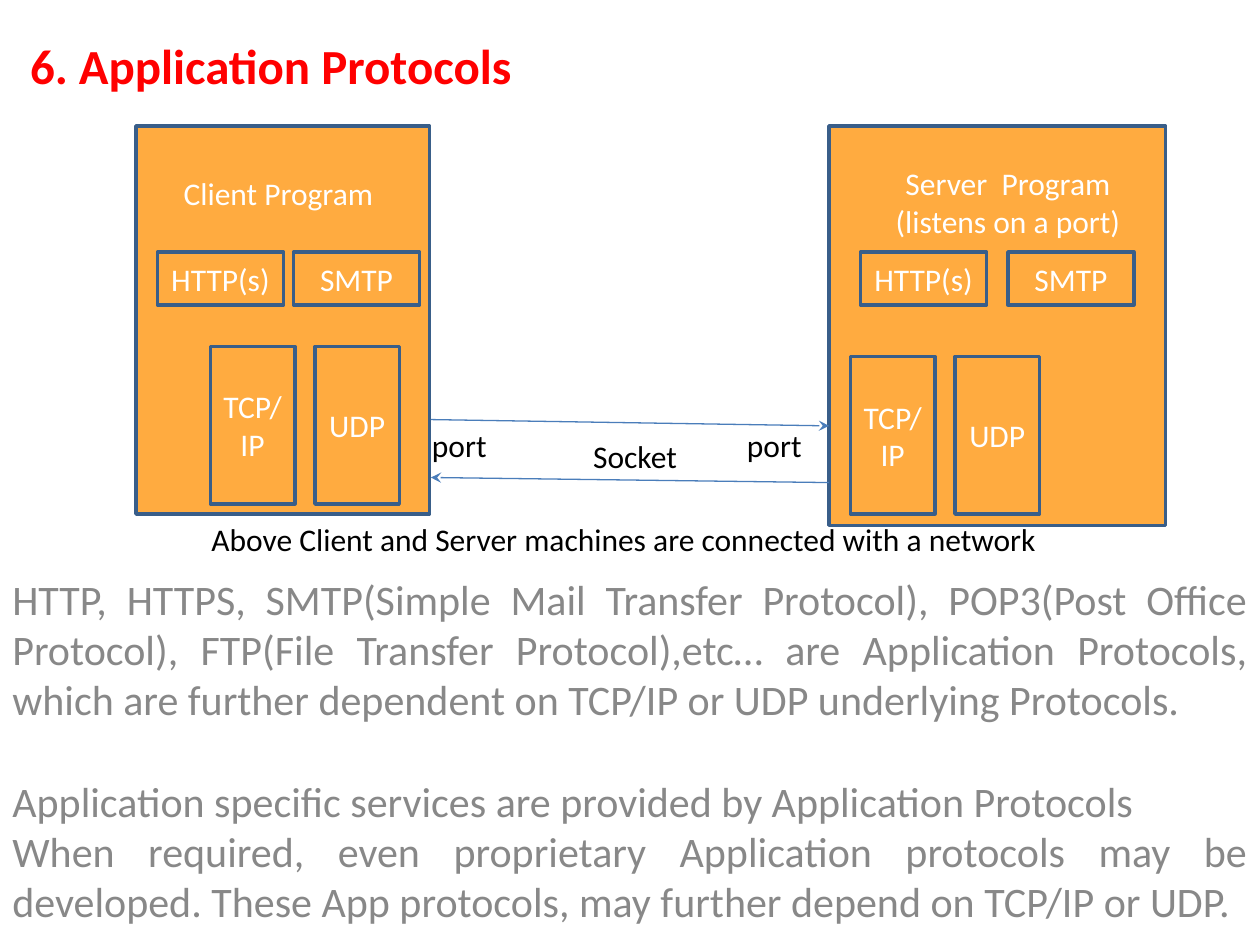
from lxml import etree
from pptx import Presentation
from pptx.dml.color import RGBColor as Rgb
from pptx.enum.shapes import MSO_CONNECTOR as Conn, MSO_SHAPE as Form
from pptx.enum.text import MSO_ANCHOR as Anchor, PP_ALIGN as Align
from pptx.oxml.ns import qn
from pptx.util import Inches, Pt

HUES = {"fill": "FFAB40", "edge": "395E89", "arrow": "4A7DBA", "title": "FF0000",
        "light": "FFFFFF", "dark": "000000", "body": "888888"}


def hue(name):
    return Rgb.from_string(HUES[name])


def write(frame, text, size=18, color="dark", bold=False, align=Align.LEFT,
          anchor=Anchor.TOP):
    """Fill a text frame, one paragraph per line of text."""
    frame.word_wrap = True
    frame.vertical_anchor = anchor
    for i, line in enumerate(text.split("\n")):
        para = frame.add_paragraph() if i else frame.paragraphs[0]
        para.alignment = align
        run = para.add_run()
        run.text = line
        font = run.font
        font.name, font.size, font.bold = "Calibri", Pt(size), bold
        font.color.rgb = hue(color)
    return frame


def label(slide, box, text, **form):
    area = slide.shapes.add_textbox(*map(Inches, box))
    return write(area.text_frame, text, **form)


def block(slide, box, text=""):
    shape = slide.shapes.add_shape(Form.RECTANGLE, *map(Inches, box))
    shape.shadow.inherit = False
    shape.fill.solid()
    shape.fill.fore_color.rgb = hue("fill")
    shape.line.color.rgb = hue("edge")
    shape.line.width = Pt(2)
    if text:
        write(shape.text_frame, text, color="light", align=Align.CENTER,
              anchor=Anchor.MIDDLE)


def arrow(slide, start, end):
    line = slide.shapes.add_connector(Conn.STRAIGHT, *map(Inches, start + end))
    line.line.color.rgb = hue("arrow")
    line.line.width = Pt(0.75)
    tip = etree.SubElement(line.line._get_or_add_ln(), qn("a:tailEnd"))
    tip.set("type", "stealth")
    etree.SubElement(line._element.spPr, qn("a:effectLst"))


def machine(slide, box, name, name_box, apps, nets):
    """Draw a program with its protocols; apps and nets are (x, y, step)."""
    left, top = box[:2]
    block(slide, box)
    x, y, w, h = name_box
    label(slide, (left + x, top + y, w, h), name, color="light", align=Align.CENTER)
    rows = [(apps, (1, 0.42), ("HTTP(s)", "SMTP")),
            (nets, (0.67, 1.25), ("TCP/\nIP", "UDP"))]
    for (x, y, step), size, names in rows:
        for i, text in enumerate(names):
            block(slide, (left + x + i * step, top + y) + size, text)


def link(slide, left, top, width):
    """Draw the two arrows and the labels between the machines."""
    right = left + width
    arrow(slide, (left, top), (right, top + 0.05))
    arrow(slide, (right, top + 0.5), (left, top + 0.46))
    for x in (left - 0.09, right - 0.75):
        label(slide, (x, top, 0.75, 0.4), "port")
    label(slide, (left + 0.58, top + 0.09, 2.08, 0.4), "Socket", align=Align.CENTER)


def notes(slide, box):
    """Place the explanation, with a gap of one line after the first paragraph."""
    frame = label(slide, box, "\n".join([
        "HTTP, HTTPS, SMTP(Simple Mail Transfer Protocol), POP3(Post Office "
        "Protocol), FTP(File Transfer Protocol),etc… are Application Protocols, "
        "which are further dependent on TCP/IP or UDP underlying Protocols.",
        "Application specific services are provided by Application Protocols",
        "When required, even proprietary Application protocols may be developed. "
        "These App protocols, may further depend on TCP/IP or UDP.",
    ]), size=24, color="body", align=Align.JUSTIFY)
    frame.paragraphs[1].space_before = Pt(29)


deck = Presentation()
deck.slide_width, deck.slide_height = Inches(10), Inches(7.5)
slide = deck.slides.add_slide(deck.slide_layouts[6])

# Title
label(slide, (0.14, 0.23, 8, 0.5), "6. Application Protocols", size=28,
      color="title", bold=True)

# Client and server
machine(slide, (1.08, 1, 2.33, 3.08), "Client Program", (0.17, 0.33, 1.92, 0.4),
        apps=(0.17, 1, 1.08), nets=(0.59, 1.75, 0.83))
machine(slide, (6.58, 1, 2.67, 3.17), "Server  Program\n(listens on a port)",
        (0.17, 0.25, 2.5, 0.71), apps=(0.25, 1, 1.17), nets=(0.17, 1.83, 0.83))
link(slide, 3.42, 3.33, 3.16)

# Caption and explanation
label(slide, (1.58, 4.08, 7.08, 0.4),
      "Above Client and Server machines are connected with a network")
notes(slide, (0, 4.5, 10, 3))

deck.save("out.pptx")
